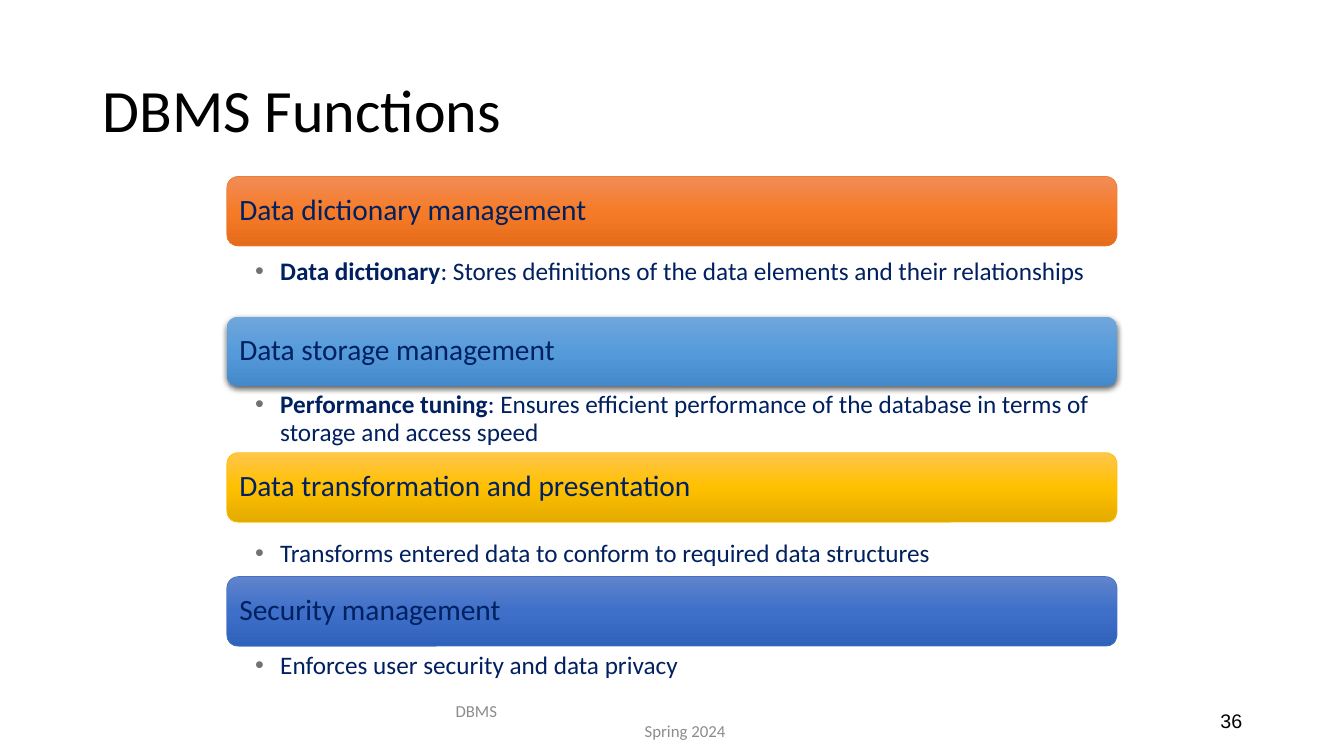
from copy import deepcopy

from lxml.etree import SubElement
from pptx import Presentation
from pptx.dml.color import RGBColor
from pptx.enum.shapes import MSO_SHAPE as Shape
from pptx.enum.text import MSO_ANCHOR as Anchor, MSO_AUTO_SIZE as AutoSize, PP_ALIGN as Align
from pptx.oxml.ns import qn
from pptx.util import Pt

PX = 9144  # EMU per px, 100 px to the inch
COLORS = {
    "title": "000000", "body": "002060", "bullet": "767171", "footer": "8C8C8C",
    "shadow": "000000", "orange_line": "ED7D31", "gold_line": "FFC000", "blue_line": "4472C4",
}
GRADIENTS = {
    "orange": ("F18C57", "F67B28", "E56C19"),
    "sky": ("71A6DB", "559BDB", "448ACA"),
    "gold": ("FFC64B", "FFC000", "E3AB00"),
    "blue": ("6183CB", "3E70CA", "3062BB"),
}
LEFT, WIDTH, BAR_HEIGHT = 225, 883, 69
HANGING = 25

# heading, bar top, gradient, detail top, detail height, bold term, detail
FUNCTIONS = [
    ("Data dictionary management", 175, "orange", 254, 63, "Data dictionary",
     ": Stores definitions of the data elements and their relationships"),
    ("Data storage management", 314, "sky", 386, 63, "Performance tuning",
     ": Ensures efficient performance of the database in terms of storage and access speed"),
    ("Data transformation and presentation", 449, "gold", 533, 47, "",
     "Transforms entered data to conform to required data structures"),
    ("Security management", 572, "blue", 645, 47, "",
     "Enforces user security and data privacy"),
]


def px(*lengths):
    return [length * PX for length in lengths]


def rgb(name):
    return RGBColor.from_string(COLORS[name])


def set_all(target, values):
    for name, value in values.items():
        setattr(target, name, value)


def format_frame(frame, anchor=Anchor.MIDDLE, margins=(10, 5, 10, 5)):
    sides = ("margin_left", "margin_top", "margin_right", "margin_bottom")
    set_all(frame, {"word_wrap": True, "auto_size": AutoSize.NONE,
                    "vertical_anchor": anchor, **dict(zip(sides, px(*margins)))})


def format_paragraph(paragraph, size, color, font="Calibri", align=Align.LEFT, spacing=1.0):
    set_all(paragraph, {"alignment": align, "line_spacing": spacing})
    set_all(paragraph.font, {"size": Pt(size), "name": font})
    paragraph.font.color.rgb = rgb(color)


def add_bullet(paragraph):
    properties = paragraph._p.get_or_add_pPr()
    properties.set("marL", str(HANGING * PX))
    properties.set("indent", str(-HANGING * PX))
    color = SubElement(properties, qn("a:buClr"))
    SubElement(color, qn("a:srgbClr"), val=COLORS["bullet"])
    SubElement(properties, qn("a:buFont"), typeface="Arial")
    SubElement(properties, qn("a:buChar"), char="•")


def fill_gradient(bar, stops):
    """Fill the bar from top to bottom with evenly spaced colours."""
    bar.fill.gradient()
    bar.fill.gradient_angle = 270
    stop_list = bar._element.spPr.find(qn("a:gradFill")).find(qn("a:gsLst"))
    stop_list.append(deepcopy(stop_list[0]))
    for index, (stop, color) in enumerate(zip(bar.fill.gradient_stops, stops)):
        stop.color.rgb = RGBColor.from_string(color)
        stop.position = index / 2


def add_soft_shadow(bar):
    effects = bar._element.spPr.find(qn("a:effectLst"))
    shadow = SubElement(effects, qn("a:outerShdw"), blurRad=str(Pt(4.5)), dist=str(Pt(1.5)),
                        dir="5400000", algn="ctr", rotWithShape="0")
    color = SubElement(shadow, qn("a:srgbClr"), val=COLORS["shadow"])
    SubElement(color, qn("a:alpha"), val="63000")


def add_heading_bar(slide, heading, top, gradient):
    bar = slide.shapes.add_shape(Shape.ROUNDED_RECTANGLE, *px(LEFT, top, WIDTH, BAR_HEIGHT))
    bar.shadow.inherit = False
    fill_gradient(bar, GRADIENTS[gradient])
    if gradient == "sky":
        bar.line.fill.background()
        add_soft_shadow(bar)
    else:
        bar.line.color.rgb = rgb(f"{gradient}_line")
        bar.line.width = Pt(0.5)
    format_frame(bar.text_frame, margins=(9, 9, 9, 9))
    paragraph = bar.text_frame.paragraphs[0]
    paragraph.text = heading
    format_paragraph(paragraph, 21, "body", spacing=0.9)
    paragraph.runs[0].font.color.rgb = rgb("body")


def add_detail(slide, top, height, term, detail):
    frame = slide.shapes.add_textbox(*px(LEFT, top, WIDTH, height)).text_frame
    format_frame(frame, Anchor.TOP, (28, 3, 16, 3))
    paragraph = frame.paragraphs[0]
    add_bullet(paragraph)
    format_paragraph(paragraph, 18, "body", spacing=0.9)
    if term:
        bold_term = paragraph.add_run()
        bold_term.text = term
        bold_term.font.bold = True
    paragraph.add_run().text = detail


def add_title(slide, text):
    title = slide.shapes.title
    set_all(title, dict(zip(("left", "top", "width", "height"), px(92, 40, 1150, 145))))
    format_frame(title.text_frame)
    title.text_frame.text = text
    format_paragraph(title.text_frame.paragraphs[0], 42.9, "title", spacing=0.9)


def add_footer(slide, course, term):
    frame = slide.shapes.add_textbox(*px(442, 695, 450, 40)).text_frame
    format_frame(frame)
    frame.text = f"{course}\n{term}"
    for paragraph, align in zip(frame.paragraphs, (Align.LEFT, Align.CENTER)):
        format_paragraph(paragraph, 12, "footer", align=align)
    frame.paragraphs[1]._p.get_or_add_pPr().set("marL", str(HANGING * PX))


def add_page_number(slide, number):
    frame = slide.shapes.add_textbox(*px(942, 695, 300, 40)).text_frame
    format_frame(frame)
    frame.text = number
    format_paragraph(frame.paragraphs[0], 14, "title", "Arial", Align.RIGHT)


def main():
    deck = Presentation()
    deck.slide_width, deck.slide_height = px(1333, 750)
    slide = deck.slides.add_slide(deck.slide_layouts[5])
    add_title(slide, "DBMS Functions")
    add_page_number(slide, "36")
    for heading, bar_top, gradient, detail_top, height, term, detail in FUNCTIONS:
        add_heading_bar(slide, heading, bar_top, gradient)
        add_detail(slide, detail_top, height, term, detail)
    add_footer(slide, "DBMS", "Spring 2024")
    deck.save("out.pptx")


if __name__ == "__main__":
    main()
